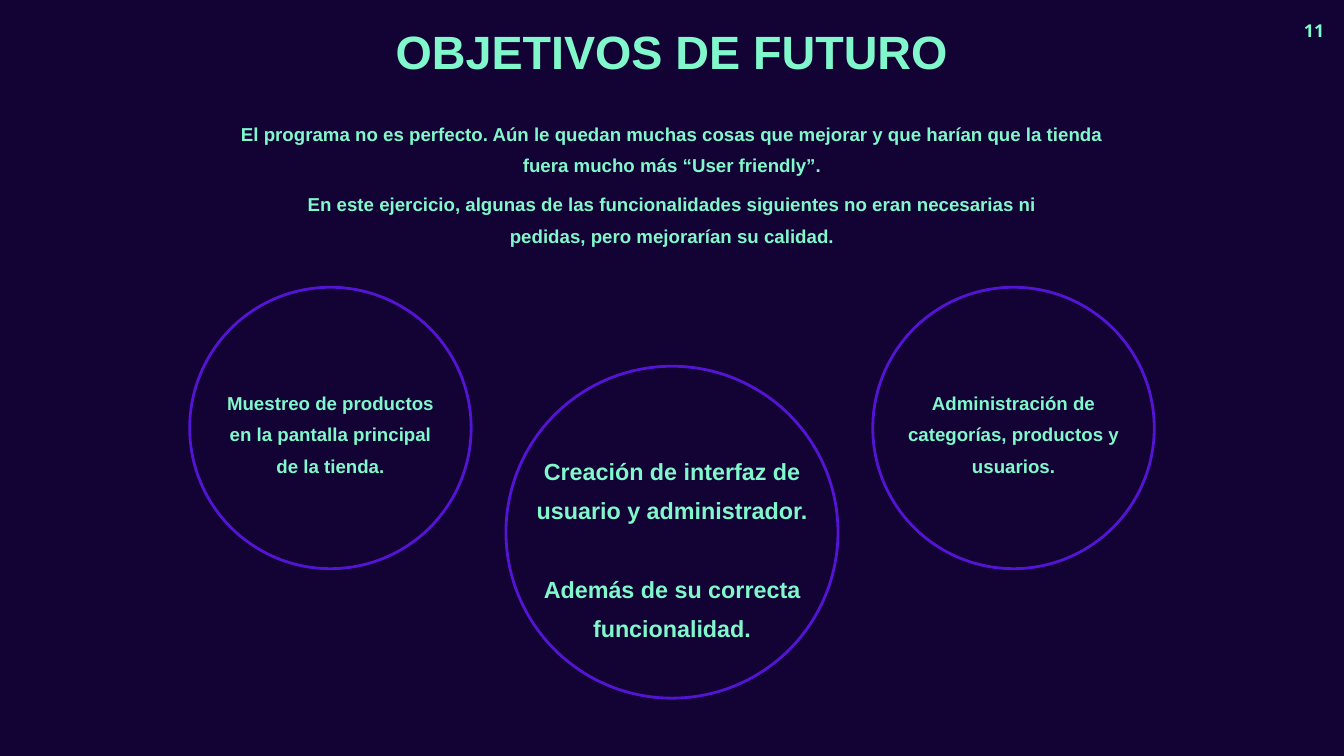
from pptx import Presentation
from pptx.dml.color import RGBColor as RGB
from pptx.enum.shapes import MSO_SHAPE as SHAPE
from pptx.enum.text import MSO_ANCHOR as ANCHOR, MSO_AUTO_SIZE as FIT, PP_ALIGN as ALIGN
from pptx.oxml.ns import qn
from pptx.util import Cm, Pt
from lxml.etree import SubElement

W, H = 50.8, 28.58
CENTRE = W / 2

TITLE = "OBJETIVOS DE FUTURO"
PAGE = "11"
# text, top, width
INTRO = [
    ("El programa no es perfecto. Aún le quedan muchas cosas que mejorar "
     "y que harían que la tienda fuera mucho más “User friendly”.", 4.29, 33.25),
    ("En este ejercicio, algunas de las funcionalidades siguientes no eran "
     "necesarias ni pedidas, pero mejorarían su calidad.", 6.96, 28.85),
]
SIDE = dict(cy=16.18, d=10.64, text_w=8.33, text_h=3.1, size="body")
SIDE_OFFSET = 12.91
GOALS = [
    dict(SIDE, cx=CENTRE - SIDE_OFFSET,
         texts=["Muestreo de productos en la pantalla principal de la tienda."]),
    dict(SIDE, cx=CENTRE + SIDE_OFFSET,
         texts=["Administración de categorías, productos y usuarios."]),
    dict(cx=CENTRE, cy=20.12, d=12.55, text_w=11.4, text_h=6.22, size="main",
         texts=["Creación de interfaz de usuario y administrador.",
                "Además de su correcta funcionalidad."]),
]
TEXT_LIFT = 0.15  # goal texts sit slightly above the circle centre

THEME = dict(
    background=RGB.from_string("130334"),
    text=RGB.from_string("81F7CC"),
    ring=RGB.from_string("5E17EB"),
    ring_width=Pt(3),
    opacity="87000",
    font="Arial",
    page_font="Open Sans",
    sizes=dict(title=Pt(50), main=Pt(25), body=Pt(20), page=Pt(19)),
    paragraph_gap=Pt(42),
)


def place(sp, cx, top, w, h):
    sp.left, sp.top, sp.width, sp.height = Cm(cx - w / 2), Cm(top), Cm(w), Cm(h)


def write(sp, texts, size, font=THEME["font"], spacing=1.4):
    tf = sp.text_frame
    tf.word_wrap = True
    tf.auto_size = FIT.NONE
    tf.vertical_anchor = ANCHOR.TOP
    tf.margin_left = tf.margin_right = tf.margin_top = tf.margin_bottom = 0
    for i, text in enumerate(texts):
        p = tf.add_paragraph() if i else tf.paragraphs[0]
        p.alignment = ALIGN.CENTER
        p.line_spacing = spacing
        p.space_before = THEME["paragraph_gap"] if i else Pt(0)
        r = p.add_run()
        r.text = text
        r.font.name = font
        r.font.size = THEME["sizes"][size]
        r.font.bold = True
        r.font.color.rgb = THEME["text"]


def add_text(s, texts, cx, top, w, h, size, **style):
    sp = s.shapes.add_textbox(0, 0, 0, 0)
    place(sp, cx, top, w, h)
    write(sp, texts, size, **style)


def add_ring(s, cx, cy, d):
    sp = s.shapes.add_shape(SHAPE.OVAL, 0, 0, 0, 0)
    place(sp, cx, cy - d / 2, d, d)
    sp.shadow.inherit = False
    sp.fill.solid()
    sp.fill.fore_color.rgb = THEME["background"]
    sp.line.color.rgb = THEME["ring"]
    sp.line.width = THEME["ring_width"]
    for color in sp._element.spPr.iter(qn("a:srgbClr")):
        SubElement(color, qn("a:alpha")).set("val", THEME["opacity"])


def main():
    prs = Presentation()
    prs.slide_width, prs.slide_height = Cm(W), Cm(H)
    s = prs.slides.add_slide(prs.slide_layouts[5])
    s.background.fill.solid()
    s.background.fill.fore_color.rgb = THEME["background"]

    place(s.shapes.title, CENTRE, 0.79, 45.09, 2.26)
    write(s.shapes.title, [TITLE], "title", spacing=1.03)
    add_text(s, [PAGE], 49.67, 0.43, 0.79, 0.89, "page", font=THEME["page_font"])
    for text, top, w in INTRO:
        add_text(s, [text], CENTRE, top, w, 2.11, "body")
    for g in GOALS:
        add_ring(s, g["cx"], g["cy"], g["d"])
        top = g["cy"] - TEXT_LIFT - g["text_h"] / 2
        add_text(s, g["texts"], g["cx"], top, g["text_w"], g["text_h"], g["size"])

    prs.save("out.pptx")


if __name__ == "__main__":
    main()
